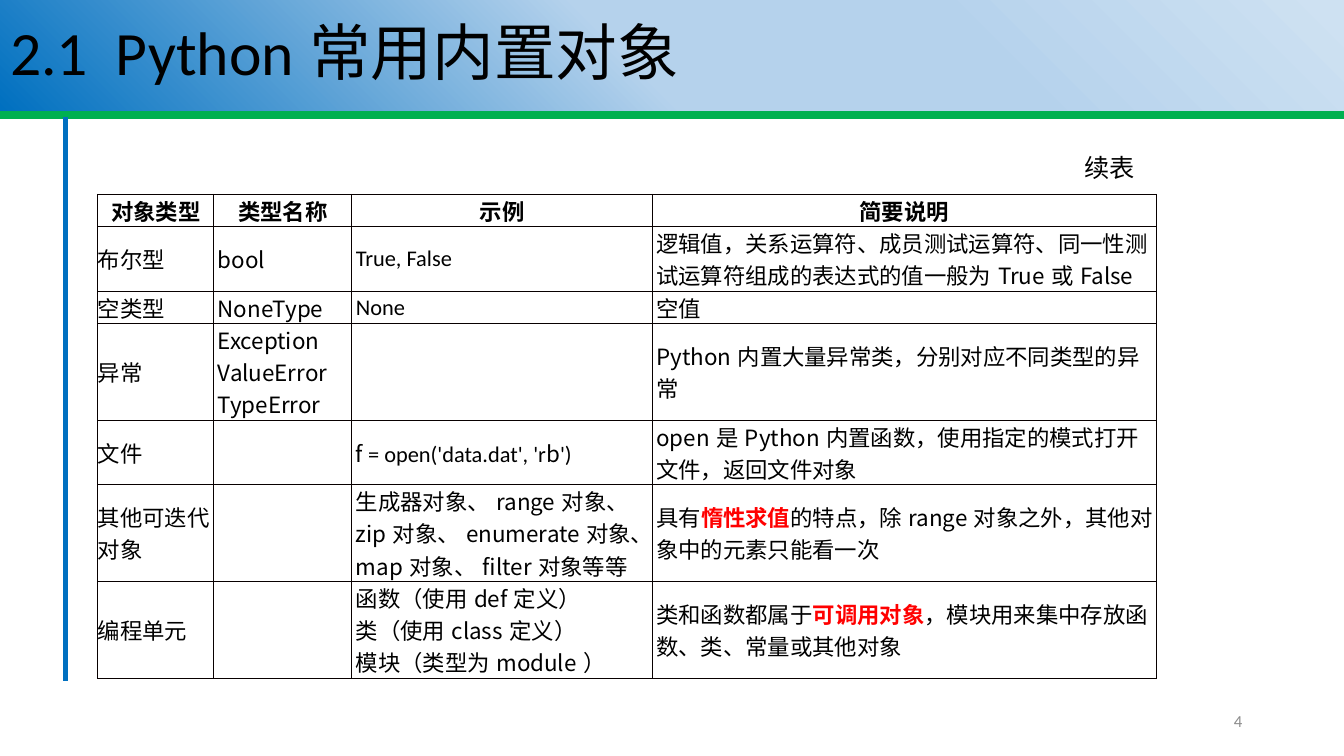
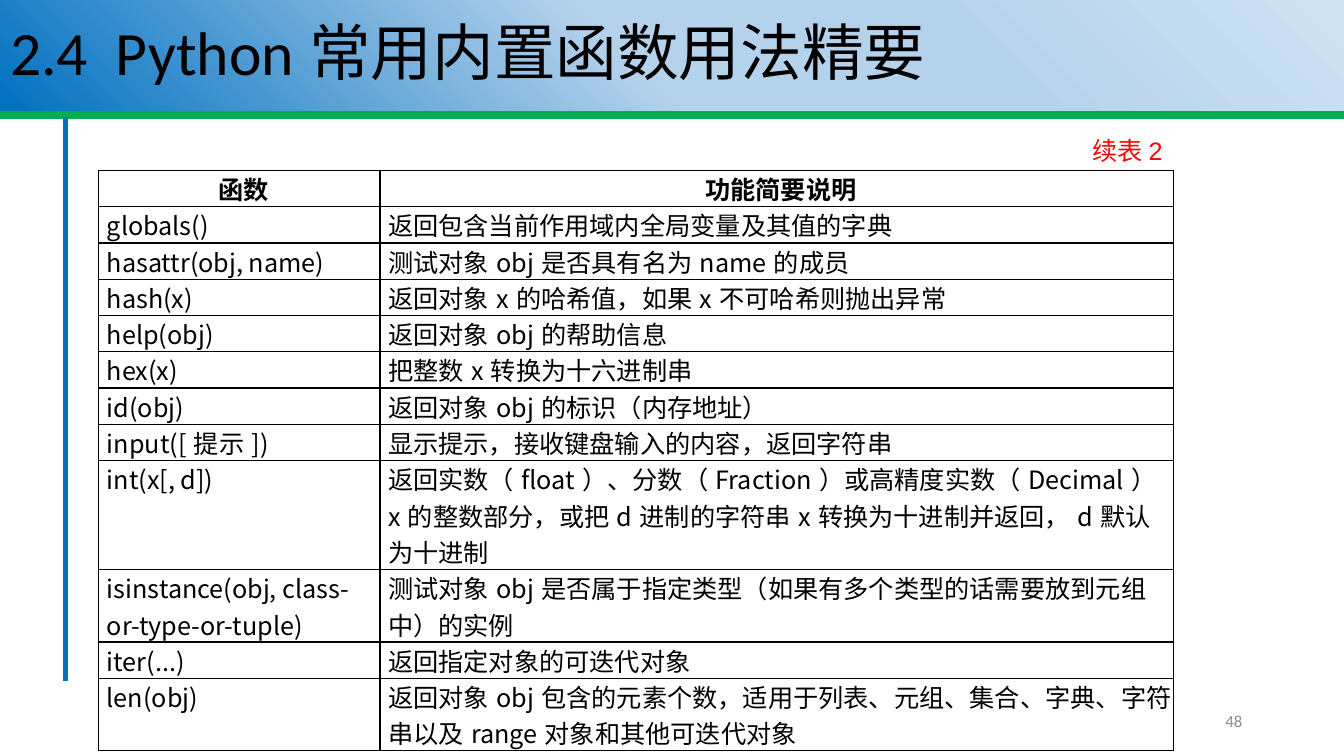
from collections import namedtuple

from lxml import etree
from pptx import Presentation
from pptx.dml.color import RGBColor
from pptx.enum.shapes import MSO_CONNECTOR
from pptx.enum.text import MSO_ANCHOR, PP_ALIGN
from pptx.oxml.ns import qn
from pptx.util import Inches, Pt

STRAIGHT = MSO_CONNECTOR.STRAIGHT
LEFT, CENTER, RIGHT = PP_ALIGN.LEFT, PP_ALIGN.CENTER, PP_ALIGN.RIGHT
TOP, MIDDLE = MSO_ANCHOR.TOP, MSO_ANCHOR.MIDDLE

SLIDE_W, SLIDE_H = 13.33, 7.5
BLACK, RED, GRAY = "000000", "FF0000", "8C8C8C"
GREEN, BLUE, BORDER = "00B050", "0070C0", "080000"
TITLE_STOPS = [(1, "CEE1F2"), (29, "B5D2EC"), (53, "B5D2EC"), (100, BLUE)]
LATIN, CJK, CAPTION_FONT = "Calibri", "Noto Sans CJK SC", "Arial"

Run = namedtuple("Run", "text font color bold", defaults=(CJK, BLACK, False))


def code(text):
    return Run(text, font=LATIN)


def key(text):
    return Run(text, color=RED, bold=True)


TYPE_ROWS = [
    ("对象类型", "类型名称", "示例", "简要说明"),
    ("布尔型", "bool", [code("True, False")],
     "逻辑值，关系运算符、成员测试运算符、同一性测试运算符组成的表达式的值一般为True或False"),
    ("空类型", "NoneType", [code("None")], "空值"),
    ("异常", "Exception\nValueError\nTypeError", "",
     "Python内置大量异常类，分别对应不同类型的异常"),
    ("文件", "",
     [Run("f "), code("= open('data.dat', 'r"), Run("b"), code("')")],
     "open是Python内置函数，使用指定的模式打开文件，返回文件对象"),
    ("其他可迭代对象", "",
     "生成器对象、range对象、zip对象、enumerate对象、map对象、filter对象等等",
     [Run("具有"), key("惰性求值"),
      Run("的特点，除range对象之外，其他对象中的元素只能看一次")]),
    ("编程单元", "",
     "函数（使用def定义）\n类（使用class定义）\n模块（类型为module）",
     [Run("类和函数都属于"), key("可调用对象"),
      Run("，模块用来集中存放函数、类、常量或其他对象")]),
]
TYPE_LINES = [1, 2, 1, 3, 2, 3, 3]

FUNCTION_ROWS = [
    ("函数", "功能简要说明"),
    ("globals()", "返回包含当前作用域内全局变量及其值的字典"),
    ("hasattr(obj, name)", "测试对象obj是否具有名为name的成员"),
    ("hash(x)", "返回对象x的哈希值，如果x不可哈希则抛出异常"),
    ("help(obj)", "返回对象obj的帮助信息"),
    ("hex(x)", "把整数x转换为十六进制串"),
    ("id(obj)", "返回对象obj的标识（内存地址）"),
    ("input([提示])", "显示提示，接收键盘输入的内容，返回字符串"),
    ("int(x[, d])",
     "返回实数（float）、分数（Fraction）或高精度实数（Decimal）x的整数部分，"
     "或把d进制的字符串x转换为十进制并返回，d默认为十进制"),
    ("isinstance(obj, class-or-type-or-tuple)",
     "测试对象obj是否属于指定类型（如果有多个类型的话需要放到元组中）的实例"),
    ("iter(...)", "返回指定对象的可迭代对象"),
    ("len(obj)",
     "返回对象obj包含的元素个数，适用于列表、元组、集合、字典、字符串以及range对象和其他可迭代对象"),
]
FUNCTION_LINES = [1] * 8 + [3, 2, 1, 2]


def rgb(color):
    return RGBColor.from_string(color)


def add_run(p, run, size):
    r = p.add_run()
    r.text = run.text
    r.font.size = Pt(size)
    r.font.bold = run.bold
    r.font.color.rgb = rgb(run.color)
    r.font.name = run.font
    etree.SubElement(r.font._element, qn("a:ea"), typeface=CJK)


def write(tf, content, size, align=LEFT):
    """Fill a frame with paragraphs; each is a list of runs."""
    for i, runs in enumerate(content):
        p = tf.add_paragraph() if i else tf.paragraphs[0]
        p.alignment = align
        for run in runs:
            add_run(p, run, size)


def add_label(slide, box, run, size, anchor=TOP):
    tf = slide.shapes.add_textbox(*map(Inches, box)).text_frame
    tf.word_wrap = True
    tf.vertical_anchor = anchor
    write(tf, [[run]], size, RIGHT)


def add_rule(slide, start, end, color, width):
    line = slide.shapes.add_connector(STRAIGHT, *map(Inches, start + end))
    line.line.color.rgb = rgb(color)
    line.line.width = Pt(width)
    etree.SubElement(line._element.spPr, qn("a:effectLst"))


def fill_gradient(sp, stops, angle):
    sp.fill.gradient()
    sp.fill.gradient_angle = angle
    stop_list = sp._element.spPr.find(".//" + qn("a:gsLst"))
    for gs in list(stop_list):
        stop_list.remove(gs)
    for position, color in stops:
        gs = etree.SubElement(stop_list, qn("a:gs"), pos=str(position * 1000))
        etree.SubElement(gs, qn("a:srgbClr"), val=color)


def add_slide(prs, title, number):
    """Add a slide with the shared title band, rules and page number."""
    slide = prs.slides.add_slide(prs.slide_layouts[5])
    add_rule(slide, (0, 1.14), (SLIDE_W, 1.14), GREEN, 5.25)
    add_rule(slide, (0.65, 1.16), (0.65, 6.76), BLUE, 3.75)
    sp = slide.shapes.title
    sp.left, sp.top, sp.width, sp.height = map(Inches, (0, 0, SLIDE_W, 1.1))
    fill_gradient(sp, TITLE_STOPS, 225)
    sp.text_frame.vertical_anchor = MIDDLE
    write(sp.text_frame, [[Run(title, font=LATIN)]], 44)
    sp.text_frame.paragraphs[0].line_spacing = 0.9
    add_label(slide, (9.42, 6.95, 3, 0.4), Run(number, LATIN, GRAY), 12, MIDDLE)
    return slide


def set_borders(cell):
    tcPr = cell._tc.get_or_add_tcPr()
    for side in ("lnL", "lnR", "lnT", "lnB"):
        ln = etree.SubElement(tcPr, qn("a:" + side), w=str(Pt(1)))
        fill = etree.SubElement(ln, qn("a:solidFill"))
        etree.SubElement(fill, qn("a:srgbClr"), val=BORDER)


def fill_cell(cell, content, size, header, inset, anchor):
    if isinstance(content, str):
        paragraphs = [[Run(line, bold=header)] for line in content.split("\n") if line]
    else:
        paragraphs = [content]
    set_borders(cell)
    cell.fill.background()
    cell.margin_left = Inches(inset)
    cell.margin_right = cell.margin_top = cell.margin_bottom = 0
    cell.vertical_anchor = anchor
    write(cell.text_frame, paragraphs, size, CENTER if header else LEFT)


def add_grid(slide, origin, widths, rows, lines, line_height, size, inset, anchor):
    """Add a table whose row heights follow its lines; inset(row, col) is the left margin."""
    heights = [n * line_height for n in lines]
    box = (*origin, sum(widths), sum(heights))
    table = slide.shapes.add_table(len(rows), len(widths), *map(Inches, box)).table
    table.horz_banding = False
    for column, width in zip(table.columns, widths):
        column.width = Inches(width)
    for i, (row, height) in enumerate(zip(rows, heights)):
        table.rows[i].height = Inches(height)
        for j, content in enumerate(row):
            fill_cell(table.cell(i, j), content, size, i == 0, inset(i, j), anchor)


def main():
    prs = Presentation()
    prs.slide_width, prs.slide_height = Inches(SLIDE_W), Inches(SLIDE_H)

    slide = add_slide(prs, "2.1  Python常用内置对象", "4")
    add_grid(slide, (0.97, 1.93), [1.15, 1.37, 2.98, 5], TYPE_ROWS, TYPE_LINES,
             0.32, 16, lambda i, j: 0.04 if i and j else 0, MIDDLE)
    add_label(slide, (9.06, 1.46, 2.29, 0.4), Run("续表", CAPTION_FONT), 18)

    slide = add_slide(prs, "2.4  Python常用内置函数用法精要", "48")
    add_grid(slide, (0.98, 1.69), [2.79, 7.87], FUNCTION_ROWS, FUNCTION_LINES,
             0.36, 18, lambda i, j: 0.08, TOP)
    add_label(slide, (10.19, 1.29, 1.44, 0.4), Run("续表2", CAPTION_FONT, RED), 18)

    prs.save("out.pptx")


if __name__ == "__main__":
    main()
